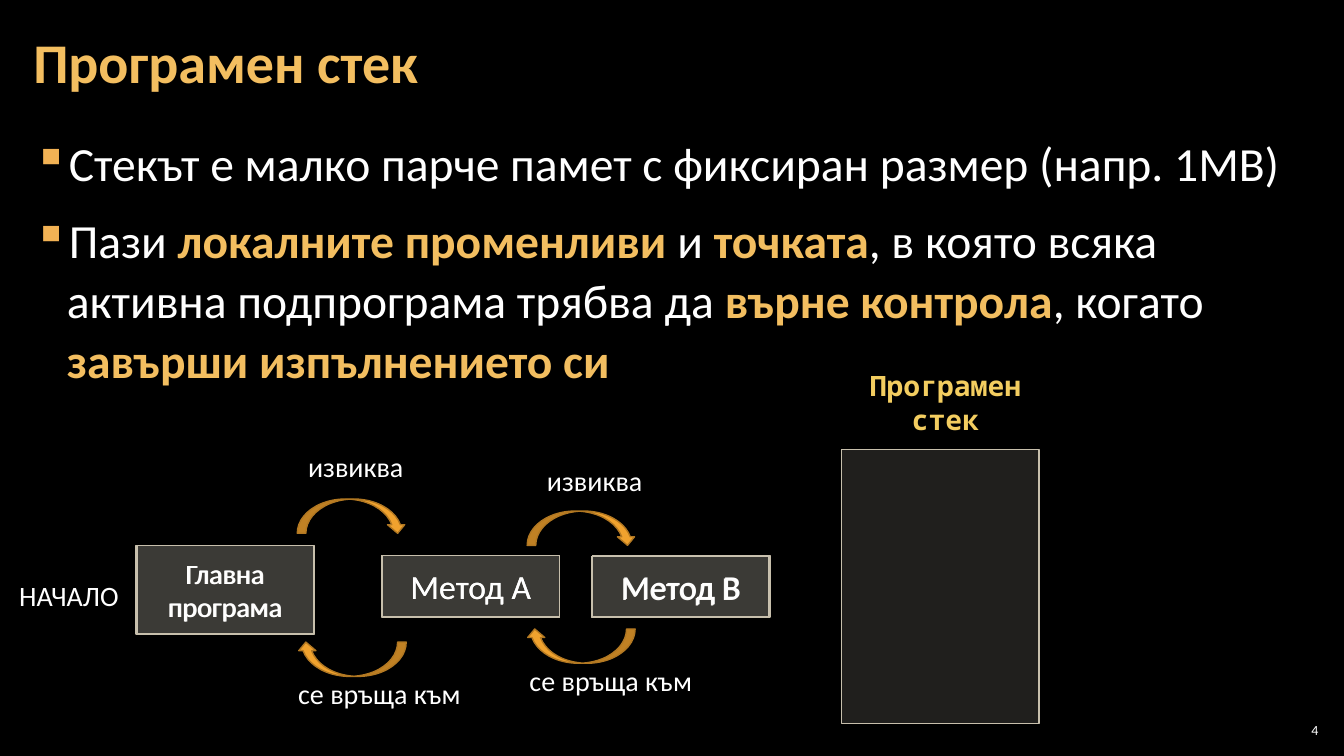
"""Builds the slide about the program stack."""
import lxml.etree
import pptx
import pptx.dml.color
import pptx.enum.shapes
import pptx.enum.text
import pptx.oxml.ns
import pptx.util

Pt = pptx.util.Pt
SHAPE = pptx.enum.shapes.MSO_SHAPE
ALIGN = pptx.enum.text.PP_ALIGN
ANCHOR = pptx.enum.text.MSO_ANCHOR

COLORS = {
    "black": "000000", "white": "FFFFFF", "gold": "F3BE60", "yellow": "F3CD60",
    "bullet": "F2B254", "panel": "D9D5C7", "border": "C7BFAC",
    "arrow": "F0A22E", "arrow_edge": "B27822",
}
TITLE = "Програмен стек"
BULLETS = [
    [("Стекът е малко парче памет с фиксиран размер (напр. 1MB)", False)],
    [("Пази ", False), ("локалните променливи ", True), ("и ", False), ("точката", True),
     (", в която всяка активна подпрограма трябва да ", False), ("върне контрола", True),
     (", когато ", False), ("завърши изпълнението си", True)],
]
STACK_BOX = (601.2, 321.1, 141.1, 195.8)
BOX_WIDTH = 126.7
BOX_LAYERS = [
    ("Главна програма", 20, 63.4, [(97.9, 389.5), (97.2, 389.5)]),
    ("Метод А", 24, 43.9, [(272.9, 396.7), (272.9, 396.7)]),
    ("Метод B", 24, 43.9, [(422.6, 397.4), (423.4, 396.7)]),
]
ARROW_SIZE = (24.5, 77.8)
ARROWS = [
    (239, 329.8, "flipV"), (403.2, 338.4, "flipV"),
    (402.5, 422.6, "flipH"), (239, 432, "flipH"),
]
LABEL_HEIGHT = 31
LABELS = [
    ("извиква", 209.5, 317.5, 89.3), ("извиква", 375.1, 327.6, 99.4),
    ("се връща към", 366.5, 470.2, 139.7), ("се връща към", 201.6, 479.5, 139),
    ("НАЧАЛО", -10.8, 409.7, 120.2),
]
PLAIN_INSETS = (7.2, 3.6)
WIDE_INSETS = (8.64, 2.88)
BOX_INSETS = (14.4, 7.2)
NUMBER_INSETS = (2.88, 2.88)


def rgb(name):
    return pptx.dml.color.RGBColor.from_string(COLORS[name])


def apply(target, **values):
    for name, value in values.items():
        setattr(target, name, value)


def place(part, box):
    apply(part, **dict(zip(("left", "top", "width", "height"), map(Pt, box))))


def set_frame(frame, insets, anchor):
    across, down = map(Pt, insets)
    apply(frame, word_wrap=True, vertical_anchor=anchor, margin_left=across,
          margin_right=across, margin_top=down, margin_bottom=down)


def add_run(paragraph, words, size, color="white", bold=False, font="Calibri"):
    run = paragraph.add_run()
    run.text = words
    apply(run.font, name=font, size=Pt(size), bold=bold)
    run.font.color.rgb = rgb(color)


def write(frame, words, size, insets=PLAIN_INSETS, anchor=ANCHOR.MIDDLE,
          align=ALIGN.CENTER, **style):
    set_frame(frame, insets, anchor)
    paragraph = frame.paragraphs[0]
    paragraph.alignment = align
    add_run(paragraph, words, size, **style)
    return paragraph


def add_text(slide, box, words, size, **style):
    write(slide.shapes.add_textbox(*map(Pt, box)).text_frame, words, size, **style)


def add_figure(slide, preset, box, fill, edge, opacity=None):
    figure = slide.shapes.add_shape(preset, *map(Pt, box))
    figure.shadow.inherit = False
    figure.fill.solid()
    figure.fill.fore_color.rgb = rgb(fill)
    figure.line.color.rgb = rgb(edge)
    figure.line.width = Pt(1)
    if opacity:
        color = figure.fill._xPr.find(".//" + pptx.oxml.ns.qn("a:srgbClr"))
        lxml.etree.SubElement(color, pptx.oxml.ns.qn("a:alpha"), val=str(opacity * 1000))
    return figure


def add_panel(slide, box):
    return add_figure(slide, SHAPE.RECTANGLE, box, "panel", "border", opacity=15)


def add_bullets(slide):
    frame = slide.shapes.add_textbox(*map(Pt, (15.1, 90.7, 929.5, 438.5))).text_frame
    set_frame(frame, WIDE_INSETS, ANCHOR.TOP)
    for index, pieces in enumerate(BULLETS):
        paragraph = frame.add_paragraph() if index else frame.paragraphs[0]
        properties = paragraph._p.get_or_add_pPr()
        apply_indent = {"marL": Pt(24), "indent": Pt(-24)}
        for name, value in apply_indent.items():
            properties.set(name, str(value))
        color = lxml.etree.SubElement(properties, pptx.oxml.ns.qn("a:buClr"))
        lxml.etree.SubElement(color, pptx.oxml.ns.qn("a:srgbClr"), val=COLORS["bullet"])
        lxml.etree.SubElement(properties, pptx.oxml.ns.qn("a:buChar"), char="▪")
        apply(paragraph, line_spacing=1.05, space_before=Pt(6 if index else 0),
              space_after=Pt(6))
        for words, strong in pieces:
            add_run(paragraph, words, 34, "gold" if strong else "white", strong)


def main():
    deck = pptx.Presentation()
    apply(deck, slide_width=Pt(960), slide_height=Pt(540))
    slide = deck.slides.add_slide(deck.slide_layouts[5])
    slide.background.fill.solid()
    slide.background.fill.fore_color.rgb = rgb("black")

    heading = slide.shapes.title
    place(heading, (15.1, 2.9, 929.5, 87.1))
    paragraph = write(heading.text_frame, TITLE, 40, insets=WIDE_INSETS,
                      align=ALIGN.LEFT, color="gold", bold=True)
    paragraph.line_spacing = 0.9
    add_bullets(slide)

    add_panel(slide, STACK_BOX)
    add_text(slide, (603.4, 259.9, 144, 79.9), TITLE, 20, anchor=ANCHOR.TOP,
             color="yellow", bold=True, font="Noto Sans Mono")
    for words, size, height, corners in BOX_LAYERS:
        for left, top in corners:
            panel = add_panel(slide, (left, top, BOX_WIDTH, height))
            write(panel.text_frame, words, size, insets=BOX_INSETS)
    for left, top, flip in ARROWS:
        arrow = add_figure(slide, SHAPE.CURVED_RIGHT_ARROW, (left, top, *ARROW_SIZE),
                           "arrow", "arrow_edge")
        arrow.rotation = 90
        arrow._element.spPr.xfrm.set(flip, "1")
    for words, left, top, width in LABELS:
        add_text(slide, (left, top, width, LABEL_HEIGHT), words, 20)
    add_text(slide, (910.8, 514.1, 33.8, 15.1), "4", 10, insets=NUMBER_INSETS,
             align=ALIGN.RIGHT)
    deck.save("out.pptx")


if __name__ == "__main__":
    main()
